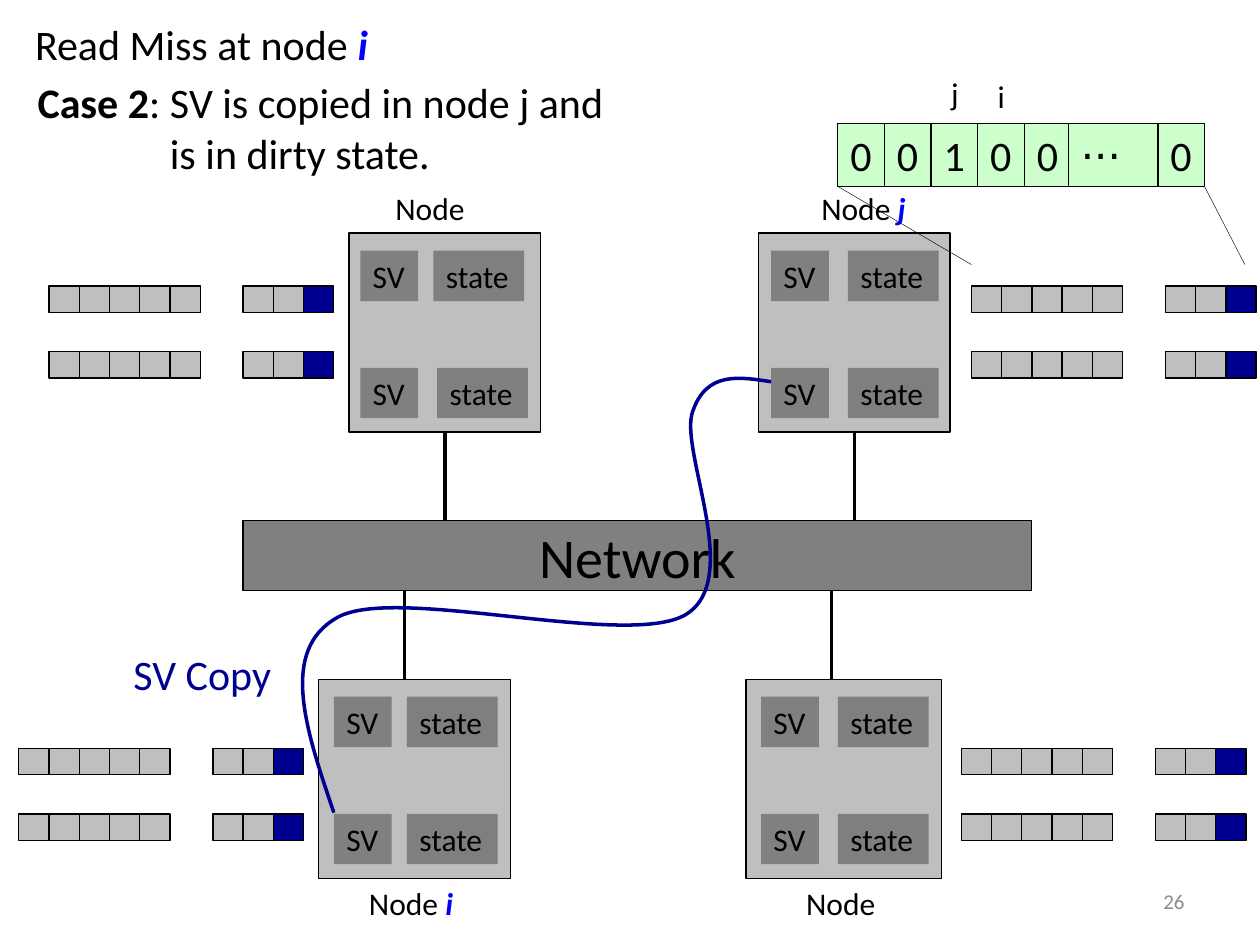
"""Builds the directory-coherence slide for a read miss on a dirty line."""
import pptx
import pptx.dml.color
import pptx.enum.shapes
import pptx.enum.text
import pptx.oxml
import pptx.oxml.ns
import pptx.util

PX = 9144
FONT = "Calibri"
COLORS = {
    "black": "000000", "silver": "BFBFBF", "gray": "808080", "state": "7F7F7F",
    "navy": "000090", "blue": "0000FF", "green": "CCFFCC", "number": "8C8C8C",
}
ALIGN = pptx.enum.text.PP_ALIGN
ANCHOR = pptx.enum.text.MSO_ANCHOR
NODE_HEIGHT, CELL, CELL_HEIGHT, TAIL_OFFSET = 158, 24, 21, 154


def px(*values):
    return [pptx.util.Emu(v * PX) for v in values]


def rgb(name):
    return pptx.dml.color.RGBColor.from_string(COLORS[name])


def add_run(p, text, size=18, color="black", bold=False, italic=False):
    r = p.add_run()
    r.text = text
    r.font.name = FONT
    r.font.size = pptx.util.Pt(size)
    r.font.bold = bold
    r.font.italic = italic
    r.font.color.rgb = rgb(color)


class Canvas:
    """Holds the style, the current slide and the shapes being filled."""

    def __init__(self, prs):
        self.s = prs.slides.add_slide(prs.slide_layouts[6])
        self.shapes = self.s.shapes

    def stroke(self, line, color, width):
        line.color.rgb = rgb(color)
        line.width = pptx.util.Pt(width)

    def frame(self, sp, align=ALIGN.LEFT, anchor=ANCHOR.TOP, fit=True):
        tf = sp.text_frame
        tf.word_wrap = not fit
        if fit:
            tf.auto_size = pptx.enum.text.MSO_AUTO_SIZE.SHAPE_TO_FIT_TEXT
        tf.vertical_anchor = anchor
        tf.paragraphs[0].alignment = align
        return tf

    def rect(self, x, y, w, h, fill, outline=True):
        kind = pptx.enum.shapes.MSO_SHAPE.RECTANGLE
        sp = self.shapes.add_shape(kind, *px(x, y, w, h))
        sp.shadow.inherit = False
        sp.fill.solid()
        sp.fill.fore_color.rgb = rgb(fill)
        if outline:
            self.stroke(sp.line, "black", 0.75)
        else:
            sp.line.fill.background()
        return sp

    def box(self, x, y, w, h, fill, text, size=18, outline=True, **layout):
        sp = self.rect(x, y, w, h, fill, outline)
        add_run(self.frame(sp, **layout).paragraphs[0], text, size=size)
        return sp

    def text(self, x, y, w, h, text, accent="", size=18, color="black", **layout):
        sp = self.shapes.add_textbox(*px(x, y, w, h))
        tf = self.frame(sp, **layout)
        p = tf.paragraphs[0]
        if text:
            add_run(p, text, size=size, color=color)
        if accent:
            add_run(p, accent, size=size, color="blue", bold=True, italic=True)
        return tf

    def line(self, x1, y1, x2, y2, width, start=None):
        kind = pptx.enum.shapes.MSO_CONNECTOR.STRAIGHT
        sp = self.shapes.add_connector(kind, *px(x1, y1, x2, y2))
        self.stroke(sp.line, "black", width)
        sp._element.spPr.append(pptx.oxml.parse_xml(
            "<a:effectLst %s/>" % pptx.oxml.ns.nsdecls("a")))
        if start is not None:
            sp.begin_connect(start, 2)

    def curve(self, start, points, color, width):
        builder = self.shapes.build_freeform(*start, scale=PX)
        builder.add_line_segments(points, close=False)
        sp = builder.convert_to_shape()
        sp.shadow.inherit = False
        sp.fill.background()
        self.stroke(sp.line, color, width)
        segments = sp._element.xpath(".//a:lnTo")
        outline = segments[0].getparent()
        for i in range(0, len(segments), 3):
            bezier = pptx.oxml.parse_xml(
                "<a:cubicBezTo %s/>" % pptx.oxml.ns.nsdecls("a"))
            for segment in segments[i:i + 3]:
                bezier.append(segment[0])
                outline.remove(segment)
            outline.append(bezier)

    def node(self, x, y, w, sv_x, state_xs):
        sp = self.rect(x, y, w, NODE_HEIGHT, "silver")
        for dy, state_x in zip((14, 107), state_xs):
            self.box(sv_x, y + dy, 46, 40, "gray", "SV", outline=False)
            self.box(state_x, y + dy, 72, 40, "state", "state", outline=False)
        return sp

    def directory(self, x, y):
        offsets = [CELL * i for i in range(5)]
        offsets += [TAIL_OFFSET + CELL * i for i in range(3)]
        for row_y in (y, y + 52):
            for dx in offsets:
                fill = "navy" if dx == offsets[-1] else "silver"
                self.rect(x + dx, row_y, CELL, CELL_HEIGHT, fill)


def main():
    prs = pptx.Presentation()
    prs.slide_width, prs.slide_height = px(1000, 750)
    c = Canvas(prs)

    c.text(717, 695, 233, 40, "26", size=12, color="number",
           align=ALIGN.RIGHT, anchor=ANCHOR.MIDDLE, fit=False)
    c.box(193, 413, 626, 56, "gray", "Network", size=32,
          align=ALIGN.CENTER, anchor=ANCHOR.MIDDLE, fit=False)

    nodes = [
        (602, 185, 152, 612, (673, 673), 678),
        (277, 185, 152, 286, (344, 347), 353),
        (592, 539, 155, 604, (665, 665), 660),
        (253, 539, 152, 265, (323, 323), 321),
    ]
    for x, y, w, sv_x, state_xs, link_x in nodes:
        sp = c.node(x, y, w, sv_x, state_xs)
        if y < 413:
            c.line(link_x, y + NODE_HEIGHT, link_x, 413, 2, start=sp)
        else:
            c.line(link_x, 469, link_x, y, 2)

    for x, y in ((771, 227), (39, 227), (763, 594), (15, 594)):
        c.directory(x, y)

    for x, y, w, label, accent in (
        (642, 145, 92, "Node ", "j"), (304, 145, 76, "Node", ""),
        (630, 697, 76, "Node", ""), (283, 697, 92, "Node ", "i"),
    ):
        c.text(x, y, w, 40, label, accent)

    c.text(18, 10, 294, 50, "Read Miss at node ", "i", size=24)
    tf = c.text(20, 56, 474, 91, "")
    add_run(tf.paragraphs[0], "Case 2", size=24, bold=True)
    add_run(tf.paragraphs[0], ": SV is copied in node j and", size=24)
    p = tf.add_paragraph()
    p._p.get_or_add_pPr().set("marL", str(105 * PX))
    add_run(p, "is in dirty state.", size=24)

    c.shapes = c.s.shapes.add_group_shape().shapes
    x = 665
    for value, w in zip(["0", "0", "1", "0", "0", "⋅⋅⋅", "0"],
                        [37, 37, 37, 37, 35, 71, 37]):
        c.box(x, 98, w, 50, "green", value, size=24)
        x += w
    c.line(771, 210, 665, 148, 0.25)
    c.line(988, 210, 956, 148, 0.25)
    c.text(782, 56, 26, 40, "i")
    c.shapes = c.s.shapes

    c.text(745, 54, 26, 40, "j")
    c.curve((265, 645), [
        (243, 580), (221, 516), (268, 490), (314, 464), (497, 515), (544, 488),
        (591, 460), (538, 356), (550, 326), (561, 295), (586, 299), (612, 303),
    ], "navy", 2)
    c.text(96, 510, 131, 50, "SV Copy", size=24, color="navy")
    prs.save("out.pptx")


if __name__ == "__main__":
    main()
